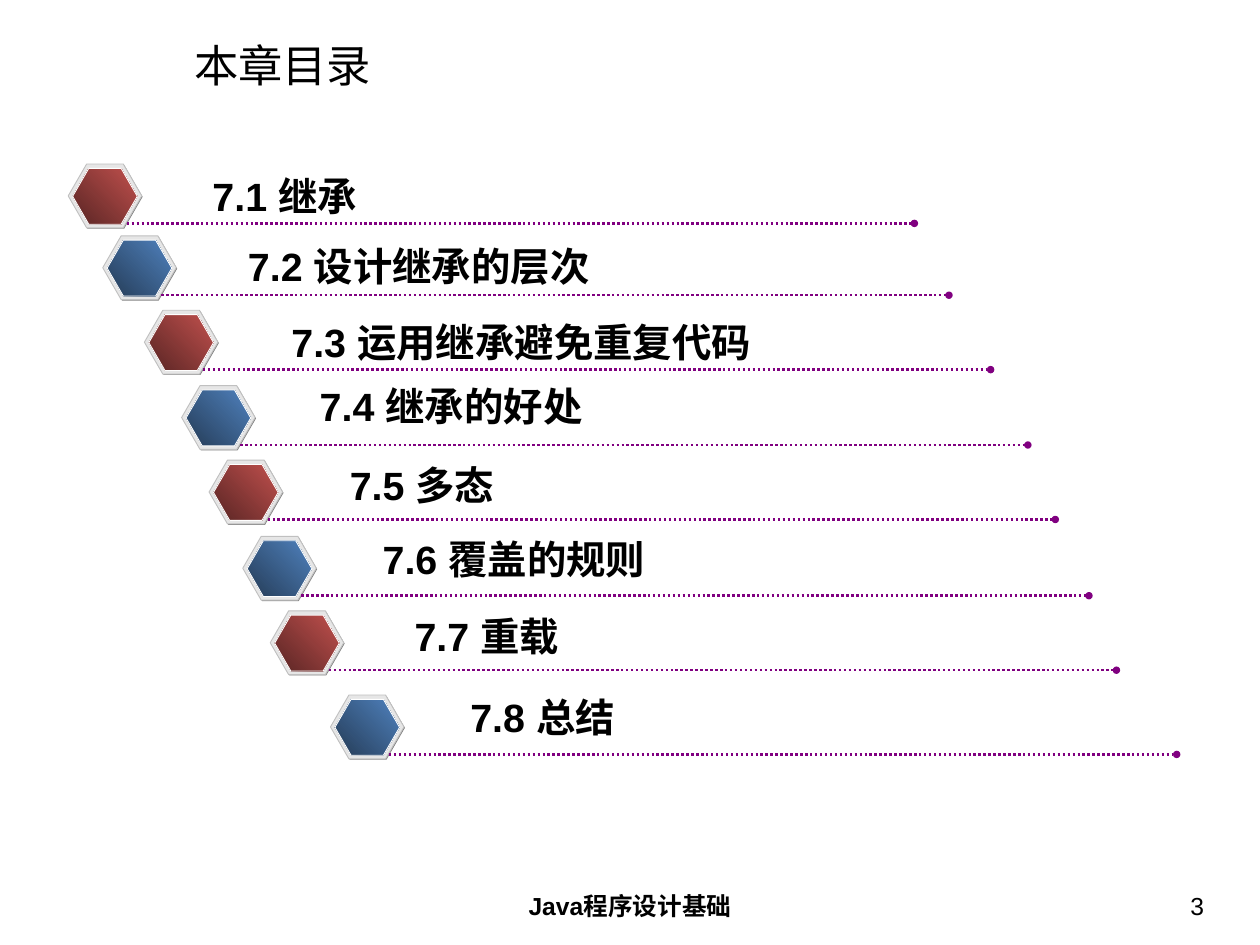
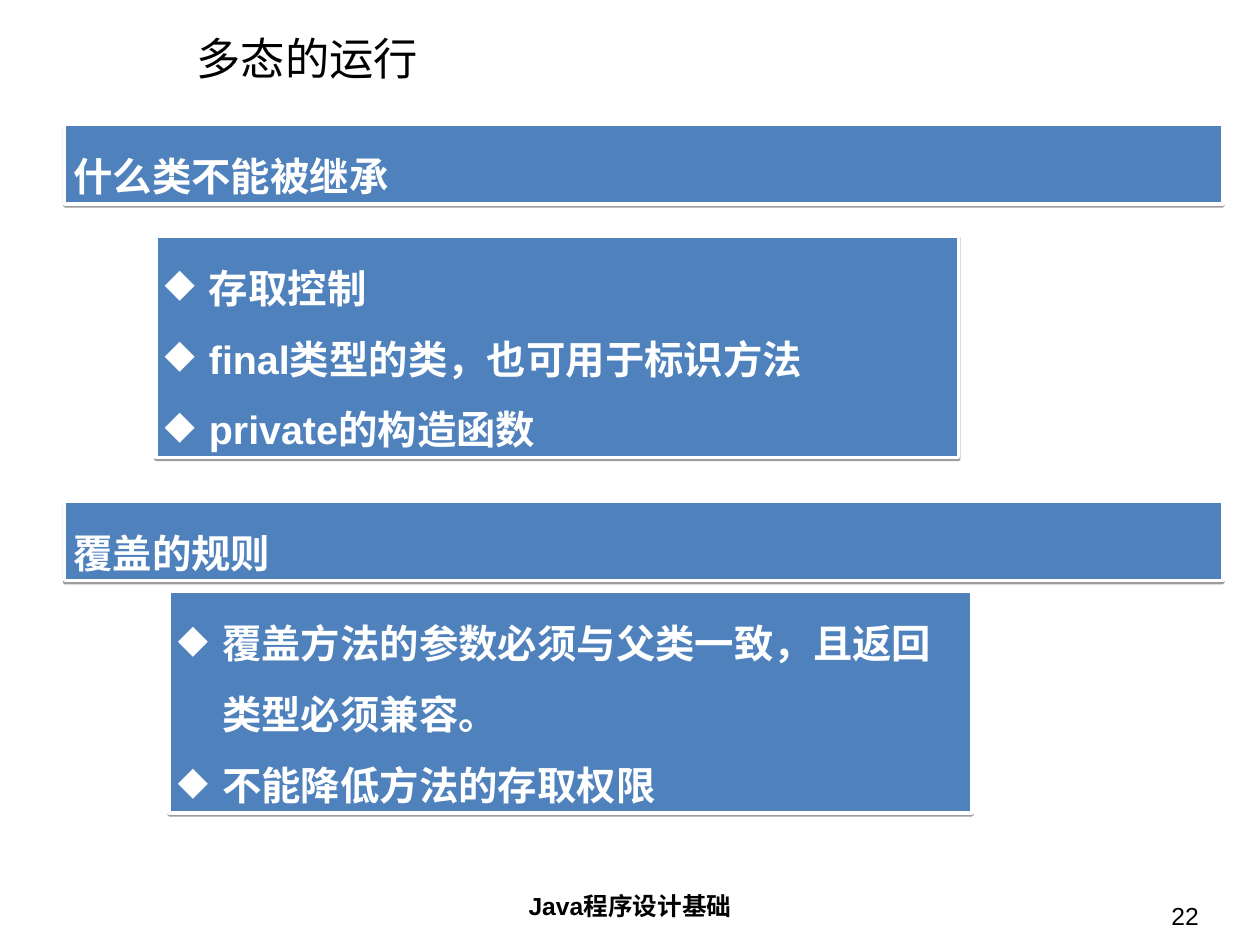
import lxml.etree
import pptx
import pptx.dml.color
import pptx.enum.dml
import pptx.enum.shapes
import pptx.enum.text
import pptx.oxml
import pptx.oxml.ns
import pptx.util

Inches = pptx.util.Inches
Pt = pptx.util.Pt
qn = pptx.oxml.ns.qn
Shape = pptx.enum.shapes.MSO_SHAPE
Align = pptx.enum.text.PP_ALIGN
Anchor = pptx.enum.text.MSO_ANCHOR
AutoSize = pptx.enum.text.MSO_AUTO_SIZE

BLACK = "000000"
WHITE = "FFFFFF"
BLUE = "4F81BD"
SILVER = "C0C0C0"
PURPLE = "800080"
RED_FADE = ("592524", "C0504D")
BLUE_FADE = ("253C57", BLUE)


def color(hex_code):
    return pptx.dml.color.RGBColor.from_string(hex_code)


def write(box, lines, size, hex_code=BLACK, bold=False, align=Align.LEFT,
          inset=0.1, anchor=Anchor.TOP, wrap=True, spacing=None, bullet=None):
    frame = box.text_frame
    frame.word_wrap = wrap
    frame.vertical_anchor = anchor
    frame.margin_left = frame.margin_right = Inches(inset)
    frame.margin_top = frame.margin_bottom = Inches(inset / 2)
    for index, line in enumerate(lines):
        para = frame.add_paragraph() if index else frame.paragraphs[0]
        para.alignment = align
        if spacing:
            para.line_spacing = spacing
        if bullet:
            properties = para._p.get_or_add_pPr()
            properties.set("marL", str(Inches(0.5)))
            properties.set("indent", str(-Inches(0.5)))
            tint = lxml.etree.SubElement(properties, qn("a:buClr"))
            lxml.etree.SubElement(tint, qn("a:srgbClr"), val=hex_code)
            lxml.etree.SubElement(properties, qn("a:buChar"), char=bullet)
        span = para.add_run()
        span.text = line
        span.font.name = "Arial"
        span.font.size = Pt(size)
        span.font.bold = bold
        span.font.color.rgb = color(hex_code)


deck = pptx.Presentation()
deck.slide_width = Inches(14.22)
deck.slide_height = Inches(10.66)

pages = []
for title, title_left, title_top, number, number_left, number_top in [
    ("本章目录", 2.05, 0.45, "3", 10.41, 9.98),
    ("多态的运行", 2.08, 0.37, "22", 10.35, 10.09),
]:
    page = deck.slides.add_slide(deck.slide_layouts[6])
    pages.append(page)
    box = page.shapes.add_textbox(Inches(title_left), Inches(title_top), Inches(11.83), Inches(0.57))
    write(box, [title], 36, inset=0.14, anchor=Anchor.MIDDLE)
    box = page.shapes.add_textbox(Inches(4.86), Inches(9.98), Inches(4.5), Inches(0.55))
    write(box, ["Java程序设计基础"], 20, bold=True, align=Align.CENTER, inset=0.14)
    box = page.shapes.add_textbox(Inches(number_left), Inches(number_top), Inches(3.32), Inches(0.55))
    write(box, [number], 20, align=Align.RIGHT, inset=0.14)

contents_page, rules_page = pages

sections = [
    ("继承", 0.77, 1.85, 2.3, 1.89),
    ("设计继承的层次", 1.16, 2.66, 2.7, 2.68),
    ("运用继承避免重复代码", 1.63, 3.5, 3.19, 3.54),
    ("继承的好处", 2.05, 4.35, 3.51, 4.26),
    ("多态", 2.36, 5.19, 3.85, 5.15),
    ("覆盖的规则", 2.74, 6.05, 4.22, 5.99),
    ("重载", 3.05, 6.89, 4.58, 6.86),
    ("总结", 3.73, 7.84, 5.21, 7.77),
]
for index, (name, left, top, label_left, label_top) in enumerate(sections):
    group = contents_page.shapes.add_group_shape()
    fade = BLUE_FADE if index % 2 else RED_FADE
    for shift_x, shift_y, width, height, fill, outline in [
        (0.01, 0.01, 0.83, 0.72, "808080", None),
        (0, 0, 0.83, 0.72, "E6E6E6", SILVER),
        (0.05, 0.05, 0.73, 0.63, fade, WHITE),
    ]:
        hexagon = group.shapes.add_shape(
            Shape.HEXAGON, Inches(left + shift_x), Inches(top + shift_y), Inches(width), Inches(height))
        hexagon.adjustments[0] = 0.289
        hexagon.shadow.inherit = False
        if fill == fade:
            hexagon.fill.gradient()
            hexagon.fill.gradient_angle = 45
            for stop, hex_code in zip(hexagon.fill.gradient_stops, fade):
                stop.color.rgb = color(hex_code)
        else:
            hexagon.fill.solid()
            hexagon.fill.fore_color.rgb = color(fill)
        if outline:
            hexagon.line.color.rgb = color(outline)
            hexagon.line.width = Pt(0.75)
        else:
            hexagon.line.fill.background()

    rule_left, rule_top = left + 0.66, Inches(top + 0.67)
    rule = group.shapes.add_connector(
        pptx.enum.shapes.MSO_CONNECTOR.STRAIGHT,
        Inches(rule_left), rule_top, Inches(rule_left + 8.89), rule_top)
    rule.line.color.rgb = color(PURPLE)
    rule.line.width = Pt(2)
    rule.line.dash_style = pptx.enum.dml.MSO_LINE.ROUND_DOT
    lxml.etree.SubElement(rule.line._get_or_add_ln(), qn("a:tailEnd"), type="oval")
    lxml.etree.SubElement(rule._element.spPr, qn("a:effectLst"))

    label_width = 1.05 + 0.445 * len(name)
    label = group.shapes.add_textbox(
        Inches(label_left), Inches(label_top), Inches(label_width), Inches(0.64))
    write(label, [f"7.{index + 1} {name}"], 32, bold=True, wrap=False)
    label.text_frame.auto_size = AutoSize.SHAPE_TO_FIT_TEXT

panels = [
    (0.73, 1.4, 13.07, 0.9, None, ["什么类不能被继承"]),
    (1.76, 2.66, 9.06, 2.5, "◆", ["存取控制", "final类型的类，也可用于标识方法", "private的构造函数"]),
    (0.73, 5.65, 13.07, 0.9, None, ["覆盖的规则"]),
    (1.91, 6.67, 9.06, 2.5, "◆",
     ["覆盖方法的参数必须与父类一致，且返回类型必须兼容。", "不能降低方法的存取权限"]),
]
for left, top, width, height, bullet, lines in panels:
    panel = rules_page.shapes.add_shape(
        Shape.RECTANGLE, Inches(left), Inches(top), Inches(width), Inches(height))
    panel.fill.solid()
    panel.fill.fore_color.rgb = color(BLUE)
    panel.line.color.rgb = color(WHITE)
    panel.line.width = Pt(3)
    panel.shadow.inherit = False
    shadow = lxml.etree.SubElement(
        panel._element.spPr.find(qn("a:effectLst")), qn("a:outerShdw"),
        blurRad="0", dist=str(Pt(1.6)), dir="5400000", rotWithShape="0")
    tint = lxml.etree.SubElement(shadow, qn("a:srgbClr"), val=BLACK)
    lxml.etree.SubElement(tint, qn("a:alpha"), val="38000")
    write(panel, lines, 32, WHITE, bold=True, spacing=1.5, bullet=bullet)
    panel.text_frame.auto_size = AutoSize.SHAPE_TO_FIT_TEXT

deck.save("out.pptx")
